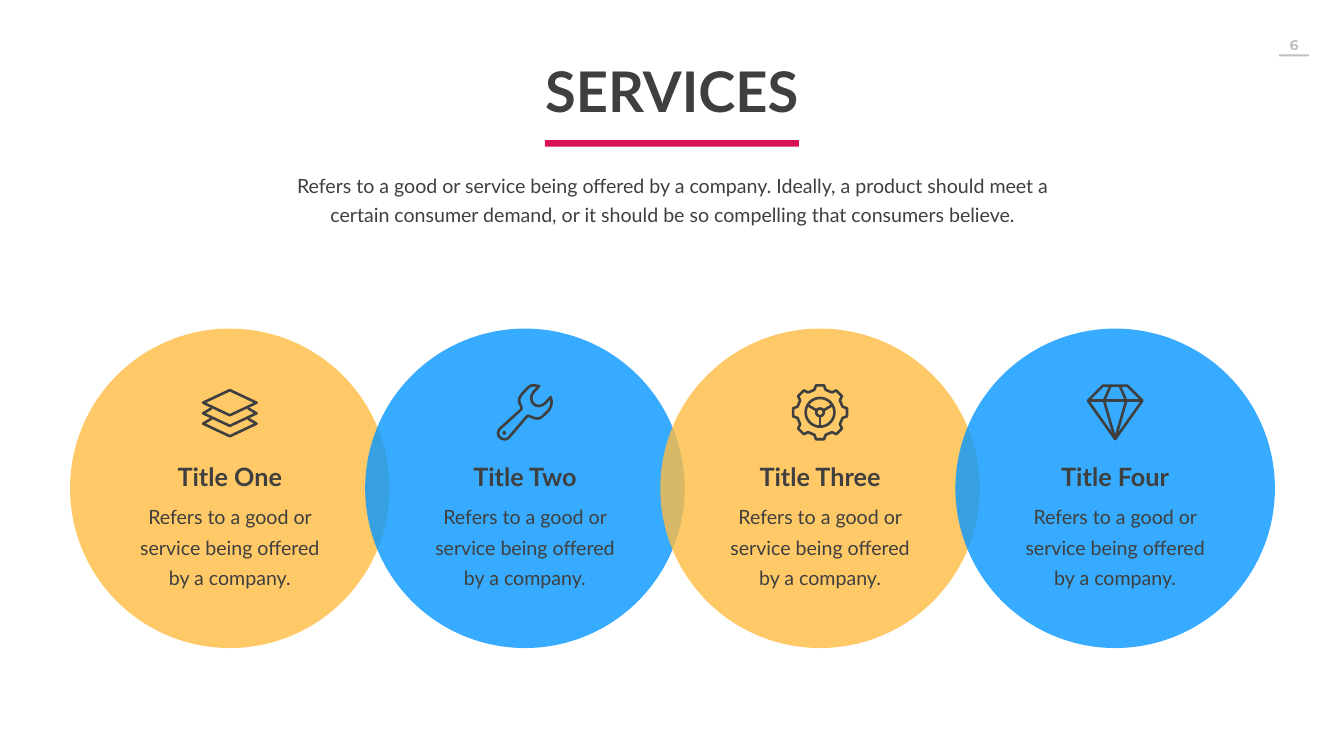
from math import cos, radians, sin

from lxml.etree import SubElement
from pptx import Presentation
from pptx.dml.color import RGBColor
from pptx.enum.shapes import MSO_SHAPE
from pptx.enum.text import MSO_ANCHOR, PP_ALIGN
from pptx.oxml.ns import qn
from pptx.util import Cm, Pt

DARK = RGBColor(0x3F, 0x3F, 0x3F)
GREY = RGBColor(0xBF, 0xBF, 0xBF)
PINK = RGBColor(0xD8, 0x11, 0x59)
YELLOW = RGBColor(0xFF, 0xBC, 0x42)
BLUE = RGBColor(0x04, 0x96, 0xFF)

DIAMETER = 16.1
FIRST_CENTER = 11.58
PITCH = 14.87
CIRCLE_TOP = 16.56
ICON_MIDDLE = 20.78
ICON_UNIT = 0.0254
TEXT_WIDTH = 11.1

INTRO = (
    "Refers to a good or service being offered by a company. Ideally, a product "
    "should meet a certain consumer demand, or it should be so compelling that "
    "consumers believe."
)
BODY = "Refers to a good or service being offered by a company."


def polar(radius, degrees):
    return radius * cos(radians(degrees)), radius * sin(radians(degrees))


def ring(radius, x=0, y=0):
    points = [polar(radius, degrees) for degrees in range(0, 360, 10)]
    return [(x + dx, y + dy) for dx, dy in points], True


def layers_icon():
    sheet = [(-53, -19), (0, -44), (53, -19), (0, 6)]
    edge = [(-36, -8), (-53, 2), (0, 27), (53, 2), (36, -8)]
    lower_edge = [(x, y + 20.5) for x, y in edge]
    return [(sheet, True), (edge, False), (lower_edge, False)]


def wrench_icon():
    outline = [
        (28, -52), (17, -40), (13.5, -34), (12.5, -28), (14, -21), (18, -16),
        (23, -13), (28, -12.5), (34, -14), (39, -17), (51, -30), (53, -22),
        (52, -13), (48, -5), (34, 9), (27, 12.5), (18, 11.5), (8, 7), (5, 7),
        (-32, 50), (-36, 53), (-41, 53.5), (-47, 52), (-52, 47), (-53.5, 41),
        (-52, 36), (-49, 32), (-7, -6), (-7, -11), (-11, -19), (-11.5, -27),
        (-7, -35), (6, -49), (12, -53), (18, -53.5),
    ]
    return [(outline, True), ring(1, -41, 41)]


def gear_icon():
    tooth = [(46, -14), (54, -8.5), (54, 8.5), (46, 14)]
    outline = [
        polar(radius, center + offset)
        for center in range(0, 360, 45)
        for radius, offset in tooth
    ]
    spokes = [
        ([polar(8, degrees), polar(28.5, degrees)], False)
        for degrees in (90, 210, 330)
    ]
    return [(outline, True), ring(28.5), ring(7.5), *spokes]


def diamond_icon():
    outline = [(-54, -23), (-24, -53), (24, -53), (54, -23), (0, 53)]
    girdle = [(-54, -23), (54, -23)]
    facets = [(-9, -53), (-22, -23), (0, 53), (22, -23), (9, -53)]
    return [(outline, True), (girdle, False), (facets, False)]


def add_icon(slide, center, strokes):
    builder = None
    for points, closed in strokes:
        placed = [
            (Cm(center + x * ICON_UNIT), Cm(ICON_MIDDLE + y * ICON_UNIT))
            for x, y in points
        ]
        if builder is None:
            builder = slide.shapes.build_freeform(*placed[0])
        else:
            builder.move_to(*placed[0])
        builder.add_line_segments(placed[1:], close=closed)
    shape = builder.convert_to_shape()
    shape.shadow.inherit = False
    shape.fill.background()
    shape.line.color.rgb = DARK
    shape.line.width = Pt(3.75)
    SubElement(shape.line._get_or_add_ln(), qn("a:round"))


def add_filled(slide, kind, left, top, width, height, color, opacity=100):
    shape = slide.shapes.add_shape(kind, Cm(left), Cm(top), Cm(width), Cm(height))
    shape.shadow.inherit = False
    shape.line.fill.background()
    shape.fill.solid()
    shape.fill.fore_color.rgb = color
    if opacity < 100:
        color_element = shape.fill._xPr.find(".//" + qn("a:srgbClr"))
        SubElement(color_element, qn("a:alpha"), val=str(opacity * 1000))


def set_text(shape, text, size, color=DARK, bold=False, font="Lato", spacing=None):
    frame = shape.text_frame
    frame.text = text
    frame.word_wrap = True
    frame.vertical_anchor = MSO_ANCHOR.TOP
    paragraph = frame.paragraphs[0]
    paragraph.alignment = PP_ALIGN.CENTER
    paragraph.font.name = font
    paragraph.font.size = Pt(size)
    paragraph.font.bold = bold
    paragraph.font.color.rgb = color
    if spacing:
        paragraph.line_spacing = Pt(spacing)
    return frame


def add_text(slide, left, top, width, height, text, size, **style):
    shape = slide.shapes.add_textbox(Cm(left), Cm(top), Cm(width), Cm(height))
    return set_text(shape, text, size, **style)


def add_heading(slide):
    title = slide.shapes.title
    title.left, title.top = Cm(25.37), Cm(2.74)
    title.width, title.height = Cm(16.97), Cm(3.68)
    set_text(title, "SERVICES", 80, bold=True)
    add_filled(slide, MSO_SHAPE.RECTANGLE, 27.46, 7.06, 12.8, 0.33, PINK)
    add_text(slide, 14.48, 8.41, 38.81, 3.02, INTRO, 28, spacing=40.8)


def add_page_number(slide):
    add_text(slide, 64, 1.57, 2.4, 1.37, "6", 20,
             color=GREY, bold=True, font="Montserrat").margin_top = Cm(0.25)
    add_filled(slide, MSO_SHAPE.RECTANGLE, 64.44, 2.74, 1.52, 0.1, GREY)


def add_service(slide, center, name, strokes):
    left = center - TEXT_WIDTH / 2
    body = add_text(slide, left, 24.84, TEXT_WIDTH, 5.2, BODY, 28, spacing=43)
    body.margin_left = body.margin_right = Cm(0.6)
    body.margin_top = body.margin_bottom = Cm(0.3)
    body.paragraphs[0].space_before = Pt(5.6)
    add_text(slide, left, 23.11, TEXT_WIDTH, 1.8, name, 36, bold=True)
    add_icon(slide, center, strokes)


def main():
    presentation = Presentation()
    presentation.slide_width, presentation.slide_height = Cm(67.72), Cm(38.1)
    slide = presentation.slides.add_slide(presentation.slide_layouts[5])
    add_page_number(slide)
    add_heading(slide)

    services = [
        ("Title One", YELLOW, layers_icon()),
        ("Title Two", BLUE, wrench_icon()),
        ("Title Three", YELLOW, gear_icon()),
        ("Title Four", BLUE, diamond_icon()),
    ]
    centers = [FIRST_CENTER + index * PITCH for index in range(len(services))]
    for center, (_, color, _) in zip(centers, services):
        add_filled(slide, MSO_SHAPE.OVAL, center - DIAMETER / 2, CIRCLE_TOP,
                   DIAMETER, DIAMETER, color, opacity=80)
    for center, (name, _, strokes) in zip(centers, services):
        add_service(slide, center, name, strokes)
    presentation.save("out.pptx")


if __name__ == "__main__":
    main()
